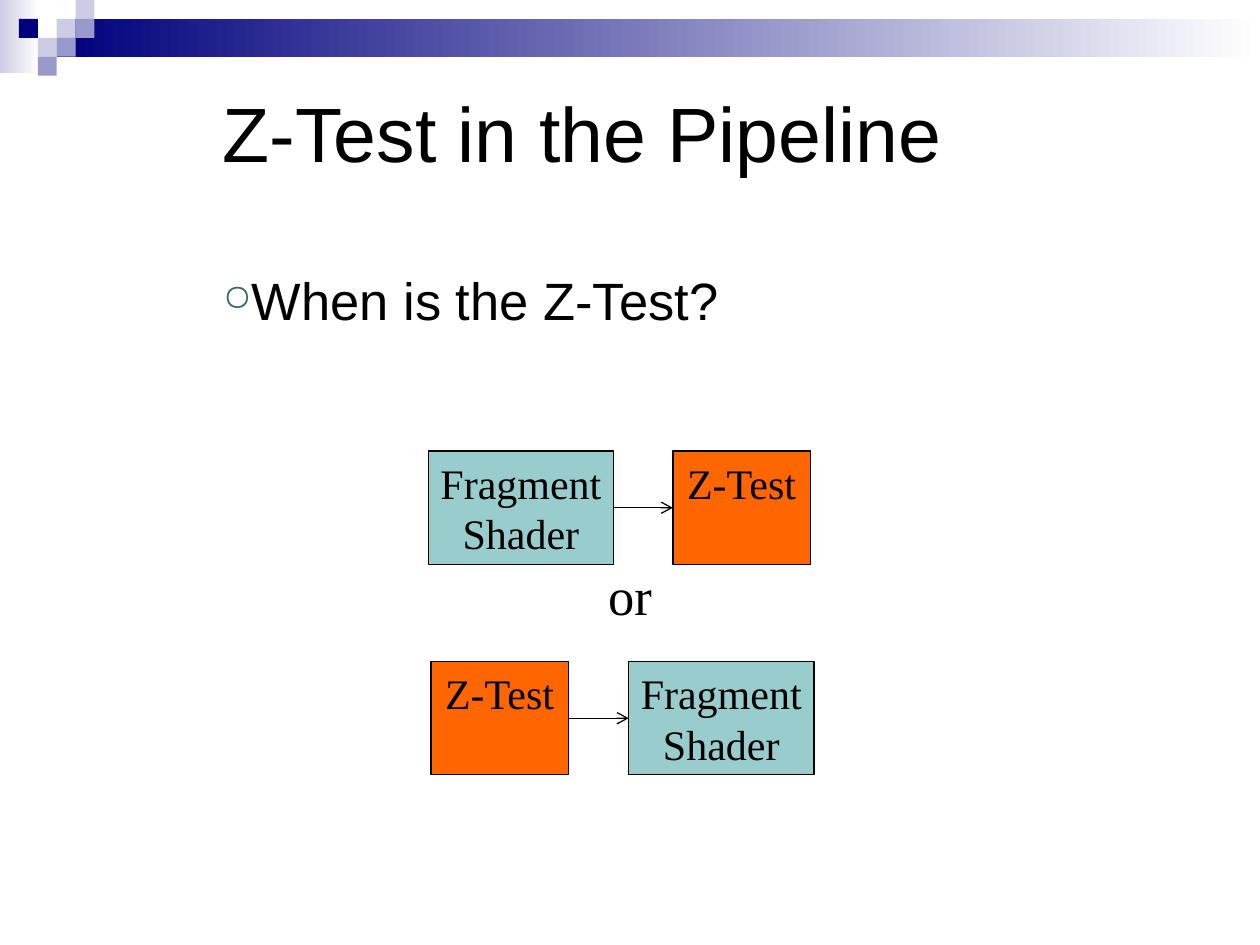
from dataclasses import dataclass

from lxml import etree
from pptx import Presentation
from pptx.dml.color import RGBColor
from pptx.enum.shapes import MSO_CONNECTOR, MSO_SHAPE
from pptx.enum.text import MSO_ANCHOR, PP_ALIGN
from pptx.oxml.ns import qn
from pptx.util import Inches, Pt

RECT = MSO_SHAPE.RECTANGLE
STRAIGHT = MSO_CONNECTOR.STRAIGHT
TOP, MIDDLE = MSO_ANCHOR.TOP, MSO_ANCHOR.MIDDLE
LEFT, CENTER = PP_ALIGN.LEFT, PP_ALIGN.CENTER

BLACK = RGBColor(0x00, 0x00, 0x00)
WHITE = RGBColor(0xFF, 0xFF, 0xFF)
NAVY = RGBColor(0x00, 0x00, 0x7D)
LAVENDER = RGBColor(0xCC, 0xCC, 0xE6)
PERIWINKLE = RGBColor(0x99, 0x99, 0xCC)
TEAL = RGBColor(0x99, 0xCC, 0xCC)
ORANGE = RGBColor(0xFF, 0x66, 0x00)

SANS, SERIF = "Arial", "Times New Roman"
CELL = 0.15  # side of one header square, inches
BOX_HEIGHT = 0.9
RIGHT_SIDE, LEFT_SIDE = 3, 1  # connection sites


@dataclass(frozen=True)
class Square:
    col: int
    row: int
    color: RGBColor


@dataclass(frozen=True)
class Stage:
    text: str
    width: float
    color: RGBColor


@dataclass(frozen=True)
class Flow:
    left: float
    top: float
    gap: float
    stages: tuple[Stage, Stage]


SHADER = Stage("Fragment\nShader", 1.47, TEAL)
Z_TEST = Stage("Z-Test", 1.09, ORANGE)

SQUARES = [
    Square(3, 1, LAVENDER), Square(4, 0, LAVENDER), Square(4, 1, PERIWINKLE),
    Square(2, 2, LAVENDER), Square(1, 1, NAVY), Square(3, 2, PERIWINKLE),
    Square(2, 3, PERIWINKLE),
]
FLOWS = [
    Flow(3.4, 3.58, 0.47, (SHADER, Z_TEST)),
    Flow(3.42, 5.25, 0.48, (Z_TEST, SHADER)),
]


def add_rect(slide, left: float, top: float, width: float, height: float):
    s = slide.shapes.add_shape(RECT, Inches(left), Inches(top),
                               Inches(width), Inches(height))
    s.shadow.inherit = False
    s.line.fill.background()
    return s


def add_fade(slide, left: float, top: float, width: float, height: float,
             color: RGBColor) -> None:
    s = add_rect(slide, left, top, width, height)
    s.fill.gradient()
    s.fill.gradient_angle = 0
    for stop, stop_color, position in zip(s.fill.gradient_stops, (color, WHITE), (0, 1)):
        stop.color.rgb = stop_color
        stop.position = position


def add_square(slide, square: Square) -> None:
    s = add_rect(slide, square.col * CELL, square.row * CELL, CELL, CELL)
    s.fill.solid()
    s.fill.fore_color.rgb = square.color


def set_text(tf, text: str, font: str, size: float, align=LEFT, anchor=TOP,
             space_before: float = 0) -> None:
    tf.text = text
    tf.vertical_anchor = anchor
    for p in tf.paragraphs:
        p.alignment = align
        p.space_before = Pt(space_before)
        for r in p.runs:
            r.font.name = font
            r.font.size = Pt(size)
            r.font.color.rgb = BLACK


def add_text(slide, left: float, top: float, width: float, height: float,
             text: str, font: str, size: float, **layout):
    s = slide.shapes.add_textbox(Inches(left), Inches(top),
                                 Inches(width), Inches(height))
    tf = s.text_frame
    tf.word_wrap = True
    set_text(tf, text, font, size, **layout)
    return tf


def add_bullet(p, char: str, color: str, percent: int) -> None:
    pPr = p._p.get_or_add_pPr()
    clr = etree.SubElement(pPr, qn("a:buClr"))
    etree.SubElement(clr, qn("a:srgbClr"), val=color)
    etree.SubElement(pPr, qn("a:buSzPct"), val=str(percent * 1000))
    etree.SubElement(pPr, qn("a:buChar"), char=char)


def add_stage(slide, left: float, top: float, stage: Stage):
    s = add_rect(slide, left, top, stage.width, BOX_HEIGHT)
    s.fill.solid()
    s.fill.fore_color.rgb = stage.color
    s.line.color.rgb = BLACK
    s.line.width = Pt(0.75)
    s.text_frame.word_wrap = False
    set_text(s.text_frame, stage.text, SERIF, 24, align=CENTER)
    return s


def add_arrow(slide, source, target) -> None:
    s = slide.shapes.add_connector(STRAIGHT, 0, 0, 0, 0)
    s.begin_connect(source, RIGHT_SIDE)
    s.end_connect(target, LEFT_SIDE)
    s.line.color.rgb = BLACK
    s.line.width = Pt(0.75)
    etree.SubElement(s.line._get_or_add_ln(), qn("a:tailEnd"), type="arrow")
    etree.SubElement(s._element.spPr, qn("a:effectLst"))


def add_flow(slide, flow: Flow) -> None:
    first, second = flow.stages
    source = add_stage(slide, flow.left, flow.top, first)
    target = add_stage(slide, flow.left + first.width + flow.gap, flow.top, second)
    add_arrow(slide, source, target)


def main() -> None:
    prs = Presentation()
    prs.slide_width, prs.slide_height = Inches(10), Inches(7.5)
    slide = prs.slides.add_slide(prs.slide_layouts[6])

    # Header band and squares
    add_fade(slide, 0, 0, 0.31, 0.58, LAVENDER)
    add_fade(slide, 3 * CELL, CELL, 10 - 3 * CELL, 2 * CELL, NAVY)
    for square in SQUARES:
        add_square(slide, square)

    # Title and question
    add_text(slide, 1.67, 0.21, 7.67, 1.67, "Z-Test in the Pipeline", SANS, 44,
             anchor=MIDDLE)
    body = add_text(slide, 1.67, 2.08, 7.67, 4.5, "When is the Z-Test?", SANS, 30,
                    space_before=7.5)
    add_bullet(body.paragraphs[0], "○", "336666", 70)

    # The two possible orders
    for flow in FLOWS:
        add_flow(slide, flow)
    add_text(slide, 0, 4.42, 10, 0.67, "or", SERIF, 30, align=CENTER,
             space_before=7.5)

    prs.save("out.pptx")


if __name__ == "__main__":
    main()
